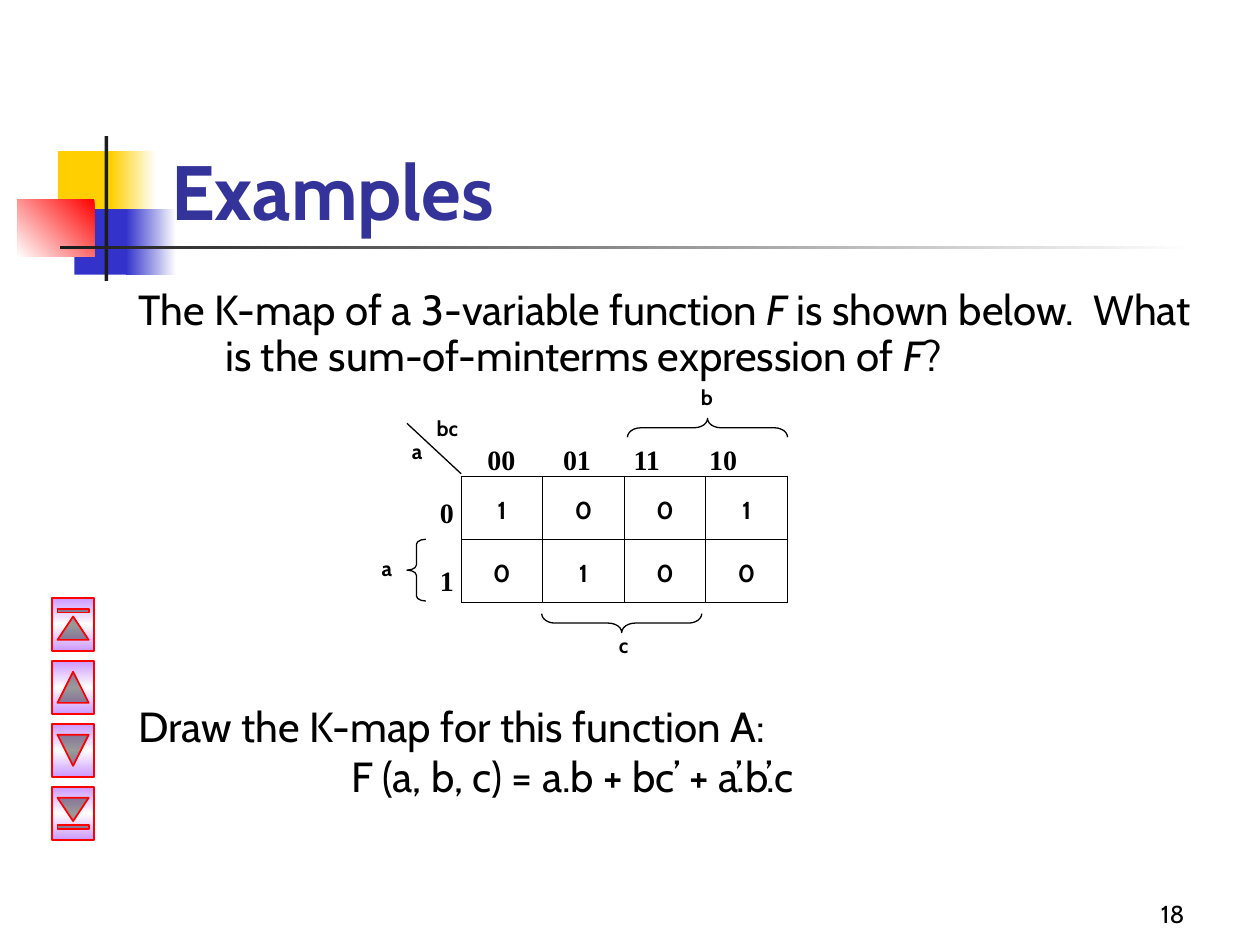
from lxml import etree
from pptx import Presentation, util as u
from pptx.dml.color import RGBColor
from pptx.enum import shapes, text
from pptx.oxml import parse_xml
from pptx.oxml.ns import qn

Inches, Pt = u.Inches, u.Pt
MSO, AL, ANC = shapes.MSO_SHAPE, text.PP_ALIGN, text.MSO_ANCHOR
NS = 'xmlns:a="http://schemas.openxmlformats.org/drawingml/2006/main"'
BLACK = "000000"

prs = Presentation()
prs.slide_width, prs.slide_height = Inches(10), Inches(7.5)
s = prs.slides.add_slide(prs.slide_layouts[6])


def add_shape(kind, box, fill=None, angle=0, line=None, width=0.75, rotation=0):
    """Preset shape; fill is None, a hex string or a list of gradient colours."""
    sp = s.shapes.add_shape(kind, *map(Inches, box))
    sp.shadow.inherit = False
    sp.rotation = rotation
    sp.fill.background()
    if isinstance(fill, str):
        sp.fill.solid()
        sp.fill.fore_color.rgb = RGBColor.from_string(fill)
    elif fill:
        stops = "".join(
            f'<a:gs pos="{100000 * i // (len(fill) - 1)}"><a:srgbClr val="{c}"/></a:gs>'
            for i, c in enumerate(fill))
        none = sp._element.spPr.find(qn("a:noFill"))
        none.getparent().replace(none, parse_xml(
            f'<a:gradFill {NS} rotWithShape="0"><a:gsLst>{stops}</a:gsLst>'
            f'<a:lin ang="{angle * 60000}" scaled="0"/></a:gradFill>'))
    if line:
        sp.line.color.rgb = RGBColor.from_string(line)
        sp.line.width = Pt(width)
    else:
        sp.line.fill.background()
    return sp


def add_text(box, paras, size=12, font="Cabin", color=BLACK, bold=False,
             align=AL.LEFT, anchor=ANC.TOP):
    """Text box; each paragraph is a list of (text, italic) runs or a string."""
    tf = s.shapes.add_textbox(*map(Inches, box)).text_frame
    tf.word_wrap, tf.vertical_anchor = True, anchor
    for i, runs in enumerate(paras):
        p = tf.add_paragraph() if i else tf.paragraphs[0]
        p.alignment = align
        for content, italic in [(runs, False)] if isinstance(runs, str) else runs:
            r = p.add_run()
            r.text = content
            r.font.name, r.font.size = font, Pt(size)
            r.font.bold, r.font.italic = bold, italic
            r.font.color.rgb = RGBColor.from_string(color)
    return tf


# Corner decoration and title rule
for box, fill, angle in [
    ((0.46, 1.2, 0.48, 0.52), "FFCF01", 0),
    ((0.88, 1.2, 0.36, 0.52), ["FFFFFF", "FFCF01"], 180),
    ((0.59, 1.66, 0.46, 0.52), "3333CC", 0),
    ((1, 1.66, 0.4, 0.52), ["FFFFFF", "3333CC"], 180),
    ((0.14, 1.58, 0.61, 0.46), ["FF0000", "FFFFFF"], 135),
    ((0.83, 1.08, 0.03, 1.15), "1C1C1C", 0),
    ((0.48, 1.95, 9, 0.03), ["FFFFFF", "1C1C1C"], 180),
]:
    add_shape(MSO.RECTANGLE, box, fill, angle)

# Title, questions and page number
add_text((1.26, 0.67, 8.52, 1.25), ["Examples"], size=44, color="333399",
         bold=True, anchor=ANC.BOTTOM)
body = add_text((1, 2.25, 8.83, 4.33), [
    [("The K-map of a 3-variable function ", False), ("F", True),
     (" is shown below.  What is the sum-of-minterms expression of ", False),
     ("F", True), ("?", False)],
    "Draw the K-map for this function A:",
    "F (a, b, c) = a.b + bc’ + a’.b’.c",
], size=24)
for p, before, margin, indent in zip(body.paragraphs, (0, 186, 3),
                                     (0.69, 0.69, 1.69), (-0.69, -0.69, 0)):
    p.line_spacing, p.space_before = 0.9, Pt(before)
    p._p.get_or_add_pPr().set("marL", str(Inches(margin)))
    p._p.get_or_add_pPr().set("indent", str(Inches(indent)))
add_text((7.42, 6.92, 2.08, 0.5), ["18"], size=14, align=AL.RIGHT, anchor=ANC.BOTTOM)

# Navigation buttons, turned to point up and down
for i, kind in enumerate([MSO.ACTION_BUTTON_BEGINNING, MSO.ACTION_BUTTON_BACK_OR_PREVIOUS,
                          MSO.ACTION_BUTTON_FORWARD_OR_NEXT, MSO.ACTION_BUTTON_END]):
    add_shape(kind, (0.37, 4.79 + 0.5 * i, 0.42, 0.33), ["CC99FF", "FFFFFF", "CC99FF"],
              angle=90, line="FF0000", width=1, rotation=90)

# K-map grid
kmap = ["1001", "0100"]
table = s.shapes.add_table(2, 4, Inches(3.66), Inches(3.78), Inches(2.59), Inches(1)).table
table.first_row = table.horz_banding = False
for i, row in enumerate(kmap):
    for j, value in enumerate(row):
        cell = table.cell(i, j)
        cell.vertical_anchor = ANC.MIDDLE
        cell.margin_top, cell.margin_bottom = Inches(0.07), Inches(0.03)
        p = cell.text_frame.paragraphs[0]
        p.alignment = AL.CENTER
        r = p.add_run()
        r.text = value
        r.font.name, r.font.size, r.font.bold = "Cabin", Pt(14), True
        r.font.color.rgb = RGBColor.from_string(BLACK)
        cell.fill.background()
        tcPr = cell._tc.get_or_add_tcPr()
        for k, side in enumerate(("lnL", "lnR", "lnT", "lnB")):
            tcPr.insert(k, parse_xml(
                f'<a:{side} {NS} w="{Pt(0.75)}"><a:solidFill><a:srgbClr val="{BLACK}"/>'
                f'</a:solidFill></a:{side}>'))

# Row and column headings
rows = add_text((3.33, 3.88, 0.37, 0.85), ["0", "1"], size=16, font="Times New Roman",
                bold=True, align=AL.RIGHT)
rows.paragraphs[1].space_before = Pt(20)
cols = add_text((3.77, 3.46, 2.41, 0.4), ["00\t01\t11\t10"], size=16,
                font="Times New Roman", bold=True)
tabs = etree.SubElement(cols.paragraphs[0]._p.get_or_add_pPr(), qn("a:tabLst"))
for pos in (0.6, 1.16, 1.76):
    etree.SubElement(tabs, qn("a:tab"), pos=str(Inches(pos)), algn="l")

# Diagonal in the corner
ln = s.shapes.add_connector(shapes.MSO_CONNECTOR.STRAIGHT, Inches(3.66), Inches(3.76),
                            Inches(3.23), Inches(3.36))
ln.line.color.rgb, ln.line.width = RGBColor.from_string(BLACK), Pt(0.75)
etree.SubElement(ln._element.spPr, qn("a:effectLst"))

# Braces over the variables' ranges
for box, rotation, curve in [((3.23, 4.28, 0.15, 0.49), 0, 0.27),
                             ((5.54, 2.76, 0.15, 1.27), 90, 0.7),
                             ((4.86, 4.31, 0.15, 1.27), 270, 0.7)]:
    brace = add_shape(MSO.LEFT_BRACE, box, line=BLACK, rotation=rotation)
    brace.adjustments[0] = curve

# Variable names
for name, box in [("a", (2.83, 4.36, 0.48, 0.4)), ("b", (5.37, 3, 0.48, 0.32)),
                  ("c", (4.71, 4.97, 0.48, 0.3)), ("a", (3.07, 3.43, 0.48, 0.4)),
                  ("bc", (3.27, 3.25, 0.56, 0.32))]:
    add_text(box, [name], bold=True, align=AL.CENTER)

prs.save("out.pptx")
